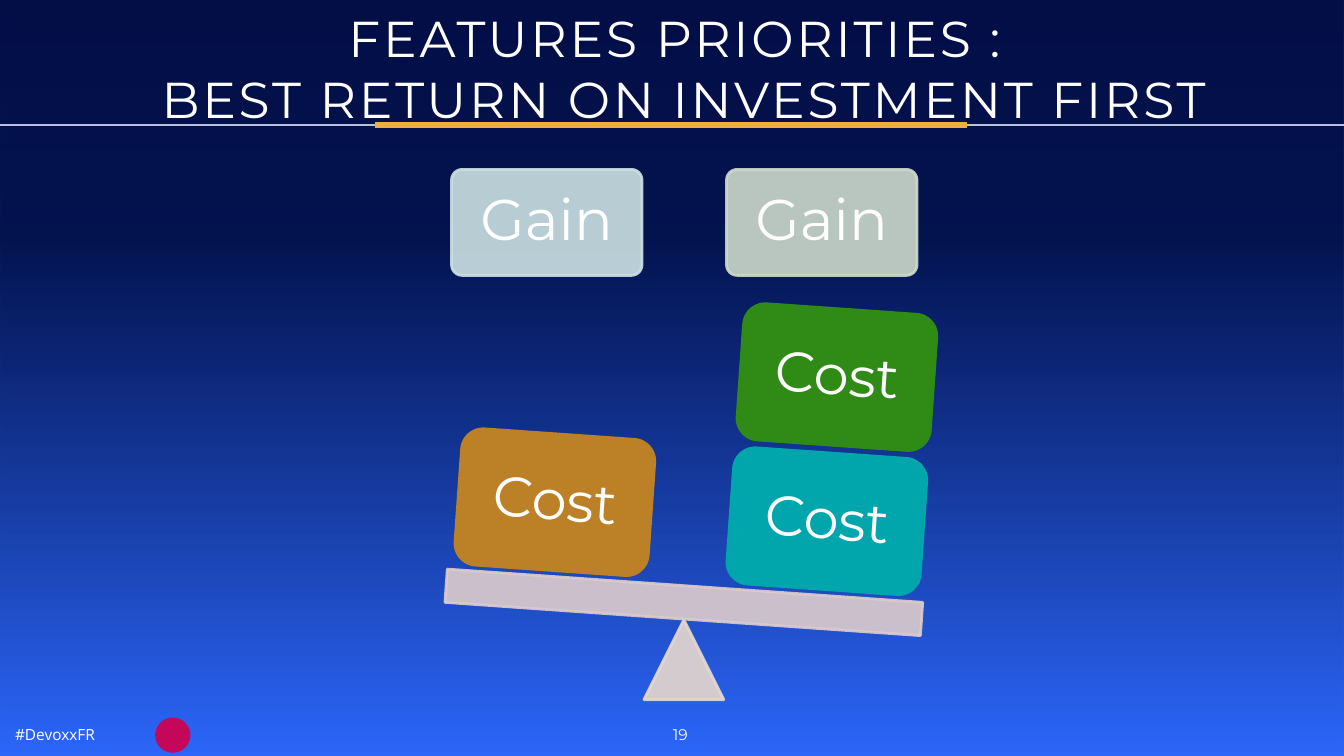
from math import cos, radians, sin

from lxml import etree
from pptx import Presentation
from pptx.dml.color import RGBColor
from pptx.enum.shapes import MSO_CONNECTOR, MSO_SHAPE
from pptx.enum.text import MSO_ANCHOR, PP_ALIGN
from pptx.oxml.ns import qn
from pptx.util import Cm, Pt

RECTANGLE = MSO_SHAPE.RECTANGLE
ROUNDED = MSO_SHAPE.ROUNDED_RECTANGLE
TRIANGLE = MSO_SHAPE.ISOSCELES_TRIANGLE
OVAL = MSO_SHAPE.OVAL
STRAIGHT = MSO_CONNECTOR.STRAIGHT
MIDDLE, TOP = MSO_ANCHOR.MIDDLE, MSO_ANCHOR.TOP
CENTER, LEFT = PP_ALIGN.CENTER, PP_ALIGN.LEFT

WHITE = RGBColor(0xFF, 0xFF, 0xFF)
BRIGHT_BLUE = RGBColor(0x05, 0x7F, 0xFA)
DEEP_BLUE = RGBColor(0x03, 0x34, 0x94)
VEIL_BLUE = RGBColor(0x33, 0x63, 0xFB)
VEIL_NIGHT = RGBColor(0x03, 0x02, 0x31)
RULE_PALE = RGBColor(0xB8, 0xC0, 0xE0)
RULE_GOLD = RGBColor(0xEC, 0xB1, 0x3C)
EMBLEM_RED = RGBColor(0xC5, 0x07, 0x5A)
GAIN_BLUE = RGBColor(0xCC, 0xE1, 0xE3)
GAIN_GREEN = RGBColor(0xCD, 0xDA, 0xCC)
PIVOT_BEIGE = RGBColor(0xE7, 0xD8, 0xCD)
BEAM_PINK = RGBColor(0xDD, 0xCC, 0xCC)
COST_TEAL = RGBColor(0x00, 0xA6, 0xAC)
COST_GREEN = RGBColor(0x30, 0x8B, 0x16)
COST_OCHRE = RGBColor(0xBC, 0x80, 0x27)

MAIN_FONT = "Montserrat"
TAG_FONT = "Open Sans"
WIDTH, HEIGHT = 33.87, 19.05  # centimetres
TILT = 4  # degrees


def set_opacity(shape, percents):
    """Give each colour of the shape its opacity, in order."""
    colours = shape._element.spPr.iter(qn("a:srgbClr"))
    for colour, percent in zip(list(colours), percents):
        etree.SubElement(colour, qn("a:alpha"), val=str(percent * 1000))


def paint_upward(fill, stops):
    fill.gradient()
    fill.gradient_angle = 90
    for stop, (position, colour) in zip(fill.gradient_stops, stops):
        stop.position = position
        stop.color.rgb = colour


def write(shape, text, size, font=MAIN_FONT, align=CENTER, anchor=MIDDLE,
          inset=0.2, wrap=True):
    frame = shape.text_frame
    frame.text = text
    frame.word_wrap = wrap
    frame.vertical_anchor = anchor
    frame.margin_left = frame.margin_right = Cm(inset)
    frame.margin_top = frame.margin_bottom = Cm(inset)
    for paragraph in frame.paragraphs:
        paragraph.alignment = align
        for run in paragraph.runs:
            run.font.name = font
            run.font.size = Pt(size)
            run.font.color.rgb = WHITE


def add_text(slide, box, text, size, **options):
    shape = slide.shapes.add_textbox(*map(Cm, box))
    write(shape, text, size, **options)
    return shape


def add_solid(slide, kind, box, colour, outlined=False):
    shape = slide.shapes.add_shape(kind, *map(Cm, box))
    shape.shadow.inherit = False
    shape.fill.solid()
    shape.fill.fore_color.rgb = colour
    if outlined:
        shape.line.color.rgb = colour
        shape.line.width = Pt(2)
        set_opacity(shape, (90, 90))
    else:
        shape.line.fill.background()
    return shape


def add_rule(slide, start, end, top, colour, weight):
    rule = slide.shapes.add_connector(
        STRAIGHT, Cm(start), Cm(top), Cm(end), Cm(top))
    rule.line.color.rgb = colour
    rule.line.width = Pt(weight)
    etree.SubElement(rule._element.spPr, qn("a:effectLst"))


def add_backdrop(slide, box):
    paint_upward(slide.background.fill, ((0, BRIGHT_BLUE), (1, DEEP_BLUE)))
    veil = slide.shapes.add_shape(RECTANGLE, *map(Cm, box))
    veil.shadow.inherit = False
    veil.line.fill.background()
    paint_upward(veil.fill, ((0, VEIL_BLUE), (0.69, VEIL_NIGHT)))
    set_opacity(veil, (85, 77))


def add_header(slide, box):
    left, top, width, height = box
    rule_top = top + height
    add_rule(slide, left, left + width, rule_top, RULE_PALE, 0.75)
    add_rule(slide, left + 9.45, left + 24.36, rule_top, RULE_GOLD, 3.75)
    title = add_text(
        slide, (left + 2.31, top + 0.18, 29.87, 3.07),
        "FEATURES PRIORITIES : \vBEST RETURN ON INVESTMENT FIRST", 36)
    for run in title.text_frame.paragraphs[0].runs:
        run.font._element.set("spc", "200")


def add_footer(slide, box):
    left, top, width, height = box
    add_text(slide, (left + 0.28, top + 0.1, 2.31, 0.66), "#DevoxxFR", 11,
             font=TAG_FONT, align=LEFT, inset=0.1)
    add_solid(slide, OVAL, (left + 3.91, top, 0.89, 0.89), EMBLEM_RED)
    add_text(slide, (left + 16.61, top, 1.07, 0.86), "19", 11,
             anchor=TOP, wrap=False)


def add_card(slide, box, text, size, colour, outlined):
    card = add_solid(slide, ROUNDED, box, colour, outlined)
    write(card, text, size)
    card.text_frame.paragraphs[0].line_spacing = 0.9
    return card


def add_balance(slide, box):
    left, top, width, height = box
    bottom, middle = top + height, left + width / 2

    # Gains above the two arms
    for column, colour in enumerate((GAIN_BLUE, GAIN_GREEN)):
        card_box = (left + 0.15 + column * 6.93, top, 4.8, 2.67)
        card = add_card(slide, card_box, "Gain", 41, colour, True)
        card.adjustments[0] = 0.1

    # Pivot and tilted beam
    pivot = 2.01
    add_solid(slide, TRIANGLE,
              (middle - pivot / 2, bottom - pivot, pivot, pivot),
              PIVOT_BEIGE, True)
    beam = add_solid(slide, RECTANGLE, (left, bottom - 2.87, width, 0.84),
                     BEAM_PINK, True)
    beam.rotation = TILT

    # Costs standing on the beam: steps run along it and at right angles to it
    along, across = cos(radians(TILT)), sin(radians(TILT))
    arm, storey = 6.87, 3.64
    costs = ((1, 0, COST_TEAL), (1, 1, COST_GREEN), (0, 0, COST_OCHRE))
    for column, level, colour in costs:
        card_left = left + 0.28 + column * arm * along + level * storey * across
        card_top = top + 6.63 + column * arm * across - level * storey * along
        card = add_card(slide, (card_left, card_top, 4.95, 3.51),
                        "Cost", 40, colour, False)
        card.rotation = TILT


def main():
    presentation = Presentation()
    presentation.slide_width = Cm(WIDTH)
    presentation.slide_height = Cm(HEIGHT)
    slide = presentation.slides.add_slide(presentation.slide_layouts[6])
    add_backdrop(slide, (0, 0, WIDTH, HEIGHT))
    add_header(slide, (0, 0, WIDTH, 3.15))
    add_footer(slide, (0, 18.08, WIDTH, 0.97))
    add_balance(slide, (11.23, 4.27, 12.01, 13.36))
    presentation.save("out.pptx")


if __name__ == "__main__":
    main()
